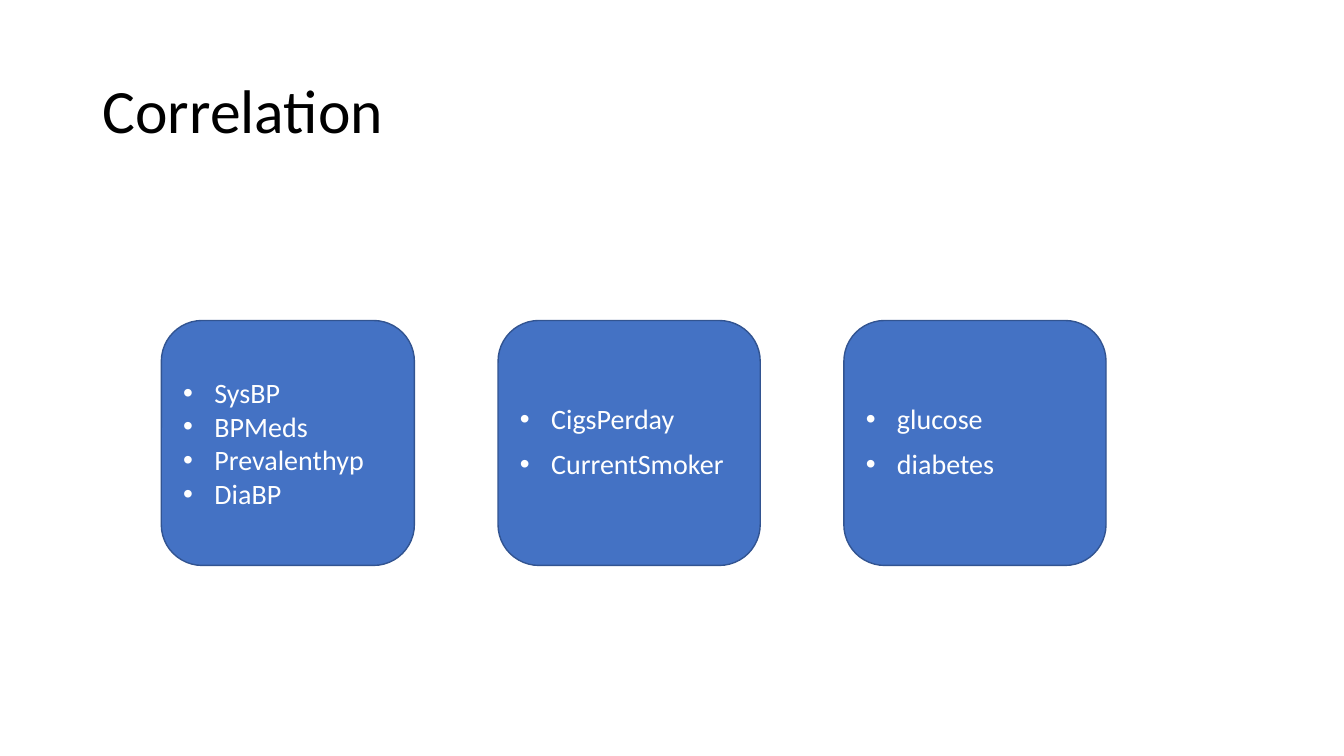
from lxml import etree
from pptx import Presentation
from pptx.dml.color import RGBColor
from pptx.enum.shapes import MSO_SHAPE
from pptx.enum.text import MSO_ANCHOR as Anchor, PP_ALIGN as Align
from pptx.oxml.ns import qn
from pptx.util import Inches, Pt

COLORS = {"title": "000000", "card": "4472C4", "border": "325491", "label": "FFFFFF"}
FONT = "Calibri"
CARD_TOP, CARD_HEIGHT = 3.18, 2.43
INDENT = 0.31
CARDS = [
    (1.6, 2.51, ["SysBP", "BPMeds", "Prevalenthyp", "DiaBP"], 1.0, 0),
    (4.94, 2.6, ["CigsPerday", "CurrentSmoker"], 0.9, 10),
    (8.37, 2.6, ["glucose", "diabetes"], 0.9, 10),
]


def color(name):
    return RGBColor.from_string(COLORS[name])


def add_run(paragraph, text, size, color_name):
    run = paragraph.add_run()
    run.text = text
    run.font.name = FONT
    run.font.size = Pt(size)
    run.font.color.rgb = color(color_name)


def set_bullet(paragraph):
    properties = paragraph._p.get_or_add_pPr()
    properties.set("marL", str(Inches(INDENT)))
    properties.set("indent", str(-Inches(INDENT)))
    etree.SubElement(properties, qn("a:buFont")).set("typeface", "Arial")
    etree.SubElement(properties, qn("a:buChar")).set("char", "•")


def add_title(slide, left, top, width, height, text):
    box = slide.shapes.add_textbox(Inches(left), Inches(top), Inches(width), Inches(height))
    frame = box.text_frame
    frame.word_wrap = True
    frame.vertical_anchor = Anchor.MIDDLE
    paragraph = frame.paragraphs[0]
    paragraph.line_spacing = 0.9
    add_run(paragraph, text, 44, "title")


def add_card(slide, left, top, width, height, variables, line_spacing, space_before):
    card = slide.shapes.add_shape(
        MSO_SHAPE.ROUNDED_RECTANGLE, Inches(left), Inches(top), Inches(width), Inches(height)
    )
    card.shadow.inherit = False
    card.fill.solid()
    card.fill.fore_color.rgb = color("card")
    card.line.color.rgb = color("border")
    card.line.width = Pt(1)
    frame = card.text_frame
    frame.word_wrap = True
    frame.vertical_anchor = Anchor.MIDDLE
    for index, variable in enumerate(variables):
        paragraph = frame.add_paragraph() if index else frame.paragraphs[0]
        paragraph.alignment = Align.LEFT
        paragraph.line_spacing = line_spacing
        paragraph.space_before = Pt(space_before)
        set_bullet(paragraph)
        add_run(paragraph, variable, 20, "label")


def main():
    presentation = Presentation()
    presentation.slide_width = Inches(13.33)
    presentation.slide_height = Inches(7.5)
    slide = presentation.slides.add_slide(presentation.slide_layouts[6])
    add_title(slide, 0.92, 0.4, 11.5, 1.45, "Correlation")
    for left, width, variables, line_spacing, space_before in CARDS:
        add_card(slide, left, CARD_TOP, width, CARD_HEIGHT, variables, line_spacing, space_before)
    presentation.save("out.pptx")


if __name__ == "__main__":
    main()
